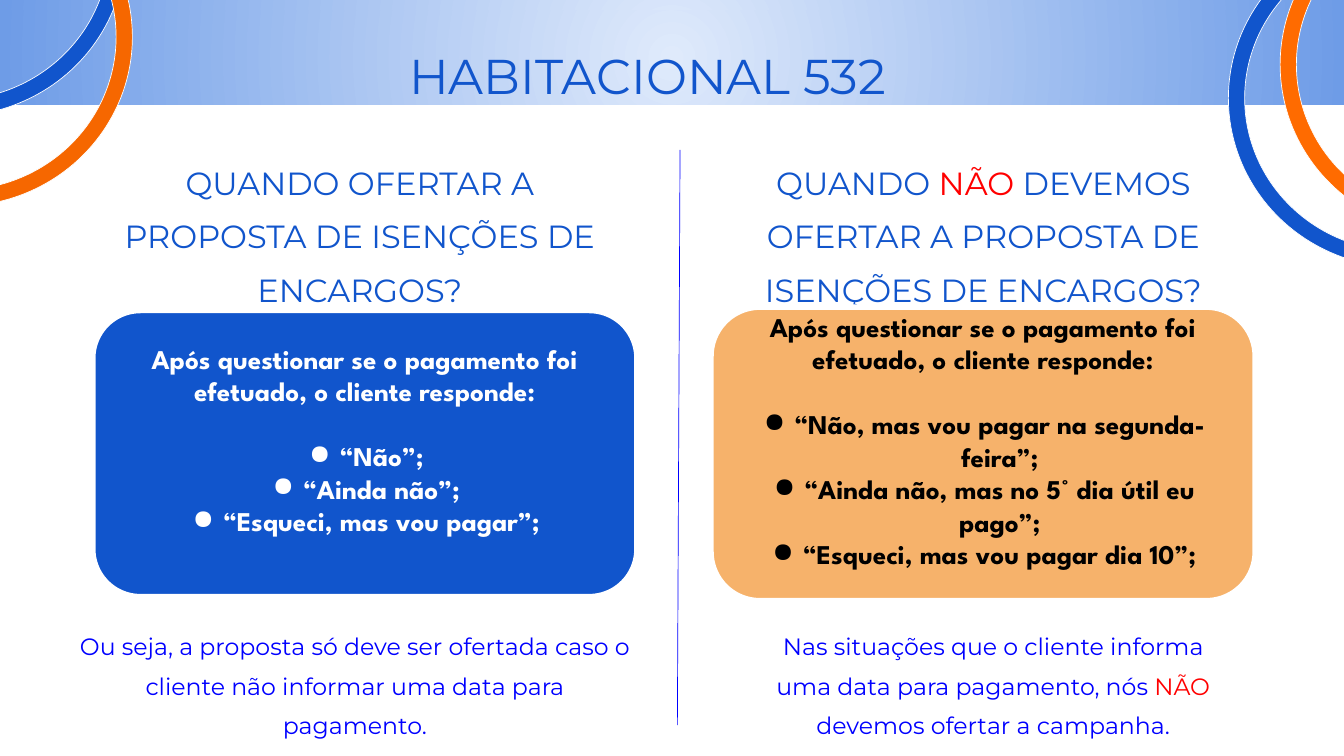
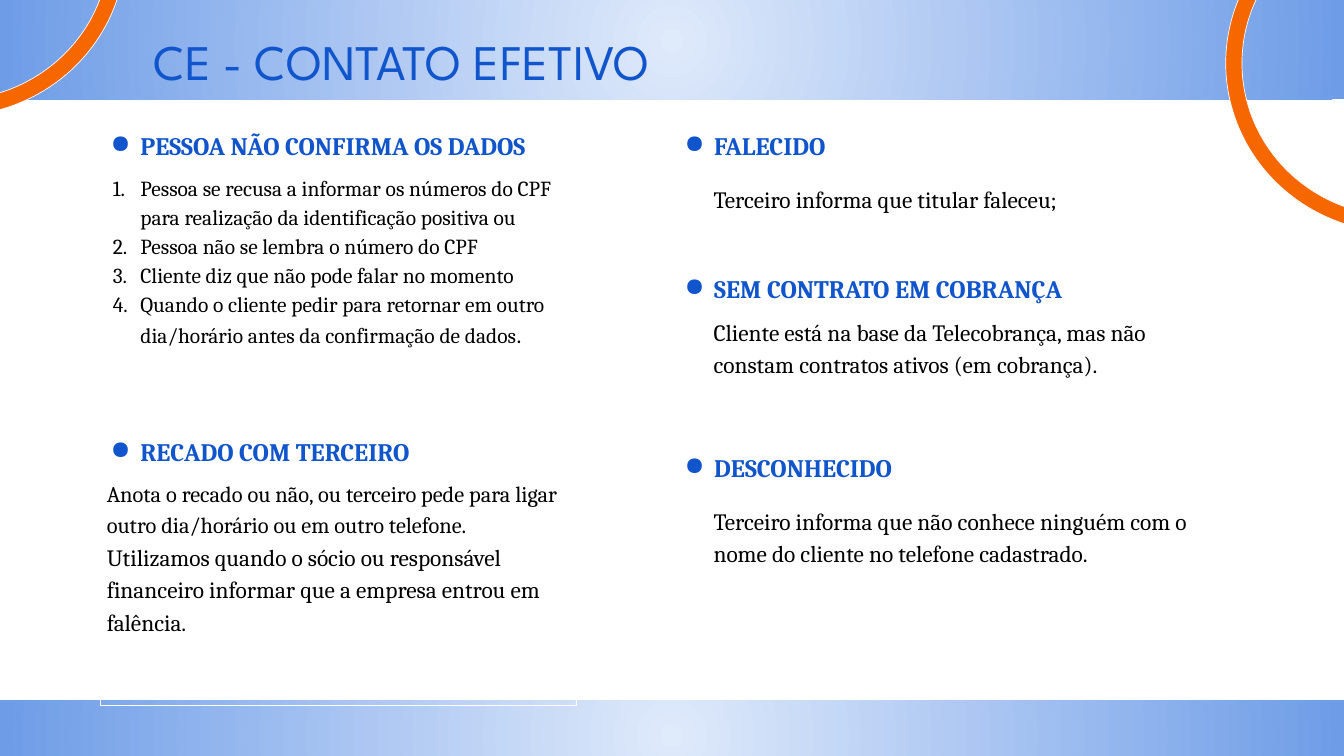
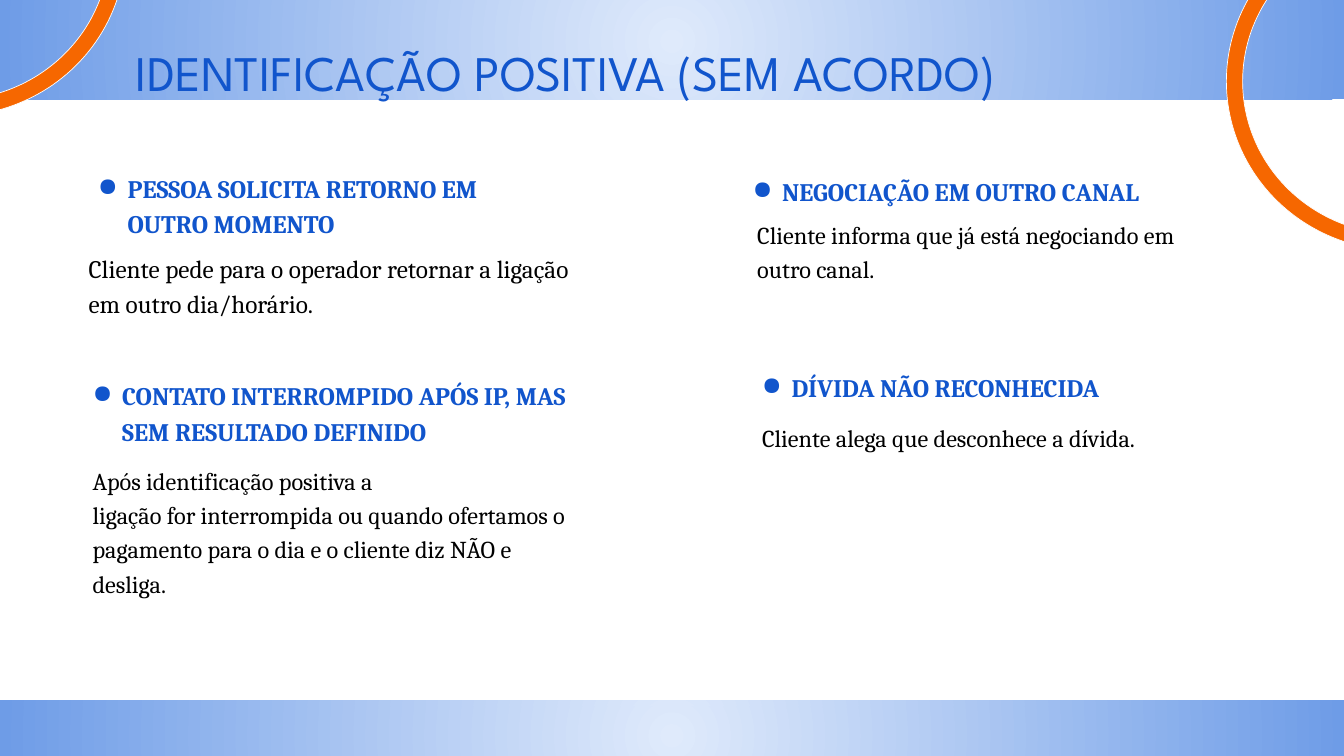
from dataclasses import dataclass, replace

from lxml import etree
from pptx import Presentation
from pptx.dml.color import RGBColor
from pptx.enum import shapes, text
from pptx.oxml import ns
from pptx.util import Inches, Pt


@dataclass(frozen=True)
class Style:
    size: float
    family: str
    color: str
    bold: bool = False
    spacing: float = 1.0
    align: text.PP_ALIGN = text.PP_ALIGN.LEFT


@dataclass(frozen=True)
class Theme:
    blue: str = "1155CC"
    vivid_blue: str = "0000FF"
    orange: str = "F66700"
    bright_orange: str = "FF6B00"
    sand: str = "F6B26B"
    red: str = "FF0000"
    white: str = "FFFFFF"
    black: str = "000000"
    band_center: str = "DFEAFB"
    band_edge: str = "6E9CE7"
    main_title: Style = Style(52.3, "Montserrat", "1155CC", spacing=1.39)
    topic_title: Style = Style(53.3, "League Spartan", "1155CC", spacing=1.39)
    question: Style = Style(34.3, "Montserrat", "1155CC", False, 1.39, text.PP_ALIGN.CENTER)
    summary: Style = Style(25.3, "Montserrat", "0000FF", False, 1.39, text.PP_ALIGN.CENTER)
    answer: Style = Style(29, "League Spartan", "FFFFFF", True, 1.0, text.PP_ALIGN.CENTER)
    heading: Style = Style(27, "Cambria", "1155CC", True, 1.17)
    body: Style = Style(25, "Cambria", "000000", spacing=1.17)
    steps: Style = Style(23, "Cambria", "000000", spacing=1.13)


THEME = Theme()
SLIDE_WIDTH, SLIDE_HEIGHT = 20, 11.25
RING_WIDTH, RING_HEIGHT = 5.17, 5.04
CORNER_RING = (-3.3, -3.31, THEME.orange)


def rgb(color):
    return RGBColor.from_string(color)


def box(place):
    return [Inches(length) for length in place]


def set_font(font, style):
    font.size = Pt(style.size)
    font.name = style.family
    font.bold = style.bold
    font.color.rgb = rgb(style.color)


def set_bullet(paragraph, color, hanging, numbered=False):
    properties = paragraph._p.get_or_add_pPr()
    properties.set("marL", str(Inches(0.5)))
    properties.set("indent", str(-Inches(hanging)))
    bullet_color = etree.SubElement(properties, ns.qn("a:buClr"))
    etree.SubElement(bullet_color, ns.qn("a:srgbClr"), val=color)
    if numbered:
        etree.SubElement(properties, ns.qn("a:buAutoNum"), type="arabicPeriod")
    else:
        etree.SubElement(properties, ns.qn("a:buChar"), char="●")


def prepare_frame(shape, inset=0.1, anchor=text.MSO_ANCHOR.TOP):
    frame = shape.text_frame
    frame.word_wrap = True
    frame.vertical_anchor = anchor
    frame.margin_left = frame.margin_right = Inches(inset)
    frame.margin_top = frame.margin_bottom = Inches(inset)
    return frame


def write_paragraph(frame, runs, style, first, hanging=None, numbered=False):
    paragraph = frame.paragraphs[0] if first else frame.add_paragraph()
    paragraph.alignment = style.align
    paragraph.line_spacing = style.spacing
    if hanging:
        set_bullet(paragraph, style.color, hanging, numbered)
    if isinstance(runs, str):
        paragraph.add_run().text = runs
        set_font(paragraph.font, style)
    else:
        for words, changes in runs:
            run = paragraph.add_run()
            run.text = words
            set_font(run.font, replace(style, **changes))
    return paragraph


def add_text(slide, place, paragraphs, style, inset=0.1, hanging=None, numbered=False):
    frame = prepare_frame(slide.shapes.add_textbox(*box(place)), inset)
    for index, runs in enumerate(paragraphs):
        write_paragraph(frame, runs, style, index == 0, hanging, numbered)


def add_preset(slide, preset, place, fill=None, line=None, line_width=0.75):
    shape = slide.shapes.add_shape(preset, *box(place))
    shape.shadow.inherit = False
    if fill:
        shape.fill.solid()
        shape.fill.fore_color.rgb = rgb(fill)
    else:
        shape.fill.background()
    if line:
        shape.line.color.rgb = rgb(line)
        shape.line.width = Pt(line_width)
    else:
        shape.line.fill.background()
    return shape


def add_band(slide, top, bottom, inner_top):
    for edge in (top, inner_top):
        band = add_preset(slide, shapes.MSO_SHAPE.RECTANGLE, (0, edge, SLIDE_WIDTH, bottom - edge))
        band.fill.gradient()
        for stop, color in zip(band.fill.gradient_stops, (THEME.band_center, THEME.band_edge)):
            stop.color.rgb = rgb(color)
        gradient = band._element.spPr.find(ns.qn("a:gradFill"))
        gradient.remove(gradient.find(ns.qn("a:lin")))
        radial = etree.SubElement(gradient, ns.qn("a:path"))
        radial.set("path", "circle")
        center = etree.SubElement(radial, ns.qn("a:fillToRect"))
        for side in "ltrb":
            center.set(side, "50000")


def add_ring(slide, left, top, color):
    ring = add_preset(slide, shapes.MSO_SHAPE.DONUT, (left, top, RING_WIDTH, RING_HEIGHT), color, THEME.white)
    ring.adjustments[0] = 0.048


def add_answer_card(slide, place, fill, color, replies):
    card = add_preset(slide, shapes.MSO_SHAPE.ROUNDED_RECTANGLE, place, fill, THEME.white, 6)
    frame = prepare_frame(card, anchor=text.MSO_ANCHOR.MIDDLE)
    frame.margin_bottom = Inches(0.51)
    style = replace(THEME.answer, color=color)
    intro = "Após questionar se o pagamento foi efetuado, o cliente responde:"
    write_paragraph(frame, intro, style, True)
    for index, reply in enumerate(replies):
        paragraph = write_paragraph(frame, reply, style, False, 0.45)
        if index == 0:
            paragraph.space_before = Pt(34.6)


def add_divider(slide, start, end):
    divider = slide.shapes.add_connector(shapes.MSO_CONNECTOR.STRAIGHT, *box(start + end))
    divider.line.color.rgb = rgb(THEME.vivid_blue)
    divider.line.width = Pt(0.75)
    etree.SubElement(divider._element.spPr, ns.qn("a:effectLst"))


def add_heading(slide, place, words):
    add_text(slide, place, [words], THEME.heading, hanging=0.44)


def add_description(slide, place, paragraphs, size=25, inset=0.1):
    panel = add_preset(slide, shapes.MSO_SHAPE.RECTANGLE, place, line=THEME.white)
    frame = prepare_frame(panel, inset)
    for index, runs in enumerate(paragraphs):
        write_paragraph(frame, runs, replace(THEME.body, size=size), index == 0)


def add_topic_slide(deck, title, title_place, right_ring_place):
    slide = deck.slides.add_slide(deck.slide_layouts[6])
    add_band(slide, -0.43, 1.48, -0.25)
    add_ring(slide, *CORNER_RING)
    add_ring(slide, *right_ring_place, THEME.orange)
    add_band(slide, 10.42, 11.39, 10.51)
    add_text(slide, title_place, [title], THEME.topic_title, inset=0)
    return slide


def build_offer_slide(deck):
    slide = deck.slides.add_slide(deck.slide_layouts[6])
    add_band(slide, 0, 1.56, 0.15)
    for ring in (
        (-3.3, -3.31, THEME.blue),
        (18.28, -1.06, THEME.blue),
        (-3.2, -1.97, THEME.orange),
        (19.05, -1.56, THEME.bright_orange),
    ):
        add_ring(slide, *ring)
    add_text(slide, (6.09, 0.34, 7.82, 0.88), ["HABITACIONAL 532"], THEME.main_title, inset=0)
    denial = ("NÃO", {"color": THEME.red})

    add_text(slide, (1.53, 2.11, 7.65, 2.39),
             ["QUANDO OFERTAR A PROPOSTA DE ISENÇÕES DE ENCARGOS?"], THEME.question)
    add_answer_card(slide, (1.38, 4.62, 8.1, 4.26), THEME.blue, THEME.white,
                    ["“Não”;", "“Ainda não”;", "“Esqueci, mas vou pagar”;"])
    add_text(slide, (1.09, 9.14, 8.38, 1.82),
             ["Ou seja, a proposta só deve ser ofertada caso o cliente não informar "
              "uma data para pagamento."], THEME.summary)

    add_text(slide, (10.88, 2.11, 7.51, 2.39),
             [[("QUANDO ", {}), denial,
               (" DEVEMOS OFERTAR A PROPOSTA DE ISENÇÕES DE ENCARGOS?", {})]], THEME.question)
    add_answer_card(slide, (10.58, 4.57, 8.1, 4.37), THEME.sand, THEME.black,
                    ["“Não, mas vou pagar na segunda-feira”;",
                     "“Ainda não, mas no 5° dia útil eu pago”;",
                     "“Esqueci, mas vou pagar dia 10”;"])
    add_divider(slide, (10.12, 2.23), (10.08, 10.79))
    add_text(slide, (11.11, 9.14, 7.34, 1.82),
             [[("Nas situações que o cliente informa uma data para pagamento, nós ", {}), denial,
               (" devemos ofertar a campanha.", {})]], THEME.summary)


def build_contact_slide(deck):
    slide = add_topic_slide(deck, "CE - CONTATO EFETIVO", (2.29, 0.11, 10.6, 2.15), (18.24, -1.58))
    add_heading(slide, (1.49, 1.76, 7.33, 0.66), "PESSOA NÃO CONFIRMA OS DADOS")
    add_text(slide, (1.49, 2.45, 7.32, 3.14),
             ["Pessoa se recusa a informar os números do CPF para realização da "
              "identificação positiva ou",
              "Pessoa não se lembra o número do CPF",
              "Cliente diz que não pode falar no momento",
              [("Quando o cliente pedir para retornar em outro dia/horário antes da "
                "confirmação de dados", {}), (".", {"size": 25})]],
             THEME.steps, hanging=0.41, numbered=True)

    add_heading(slide, (1.49, 6.32, 5.67, 0.66), "RECADO COM TERCEIRO")
    add_description(slide, (1.49, 6.97, 7.08, 3.52),
                    [[("Anota o recado ou não, ou terceiro pede para ligar outro dia/horário "
                       "ou em outro telefone.", {"size": 24})],
                     "Utilizamos quando o sócio ou responsável financeiro informar que a "
                     "empresa entrou em falência."])

    add_heading(slide, (10.03, 1.76, 8.03, 1.19), "FALECIDO")
    add_description(slide, (10.52, 2.58, 6.88, 1.65), ["Terceiro informa que titular faleceu;"])

    add_heading(slide, (10.03, 3.89, 6.99, 0.66), "SEM CONTRATO EM COBRANÇA")
    add_description(slide, (10.52, 4.56, 7.65, 2.15),
                    ["Cliente está na base da Telecobrança, mas não constam contratos "
                     "ativos (em cobrança)."])

    add_heading(slide, (10.03, 6.56, 4.17, 0.66), "DESCONHECIDO")
    add_description(slide, (10.52, 7.37, 7.37, 1.62),
                    ["Terceiro informa que não conhece ninguém com o nome do cliente no "
                     "telefone cadastrado."])


def build_identification_slide(deck):
    slide = add_topic_slide(deck, "IDENTIFICAÇÃO POSITIVA (SEM ACORDO)",
                            (2.02, 0.28, 16.56, 1.45), (18.25, -1.31))
    add_heading(slide, (1.3, 2.4, 6.99, 1.19), "PESSOA SOLICITA RETORNO EM OUTRO MOMENTO")
    add_description(slide, (1.22, 3.59, 7.65, 2.09),
                    ["Cliente pede para o operador retornar a ligação em outro dia/horário."], 27)

    add_heading(slide, (1.22, 5.49, 7.65, 1.73),
                "CONTATO INTERROMPIDO APÓS IP, MAS SEM RESULTADO DEFINIDO")
    add_description(slide, (1.28, 6.77, 7.53, 3.22),
                    ["Após identificação positiva a",
                     "ligação for interrompida ou quando ofertamos o pagamento para o dia e o "
                     "cliente diz NÃO e desliga."], 26)

    add_heading(slide, (11.04, 2.45, 7.37, 0.66), "NEGOCIAÇÃO EM OUTRO CANAL")
    add_description(slide, (11.17, 3.11, 6.88, 1.67),
                    ["Cliente informa que já está negociando em outro canal."], 26)

    add_heading(slide, (11.18, 5.36, 7.08, 0.66), "DÍVIDA NÃO RECONHECIDA")
    add_description(slide, (11.28, 6.17, 7.13, 0.79),
                    ["Cliente alega que desconhece a dívida."], 26, inset=0.06)


def main():
    deck = Presentation()
    deck.slide_width = Inches(SLIDE_WIDTH)
    deck.slide_height = Inches(SLIDE_HEIGHT)
    build_offer_slide(deck)
    build_contact_slide(deck)
    build_identification_slide(deck)
    deck.save("out.pptx")


if __name__ == "__main__":
    main()
